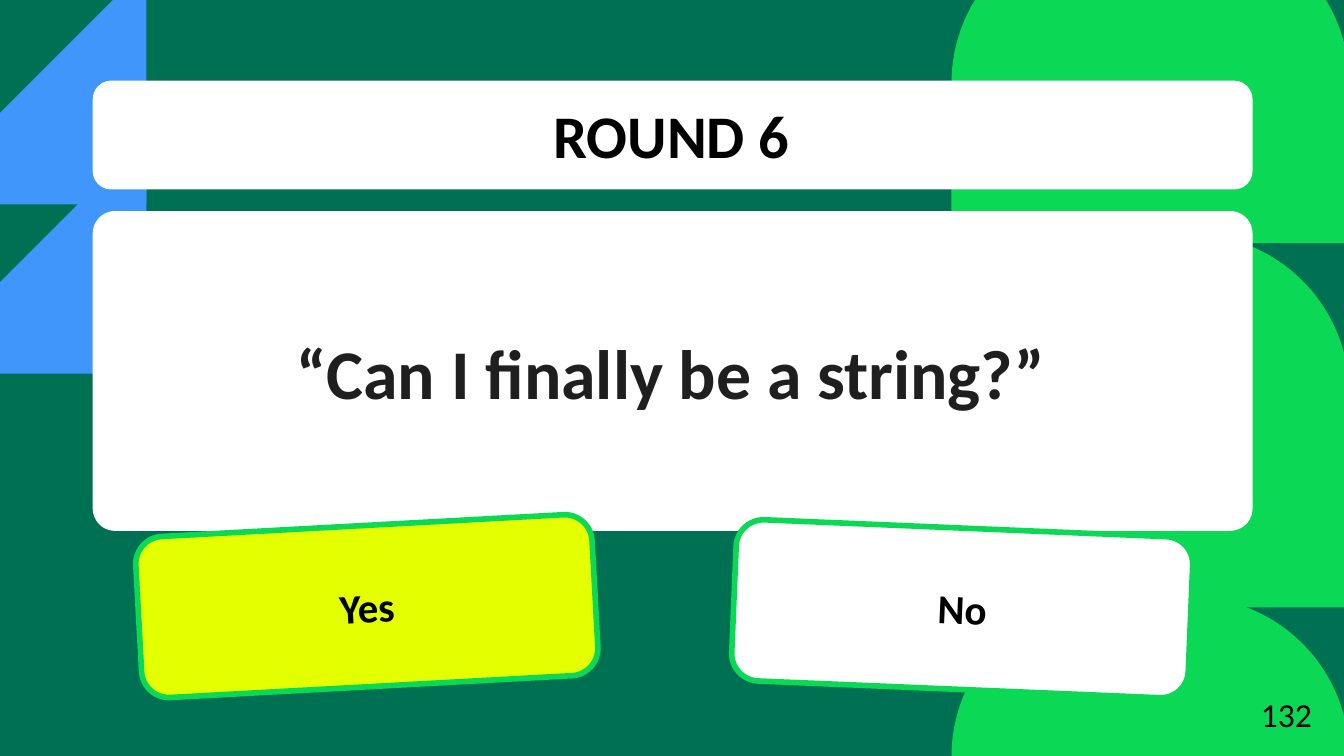
import dataclasses

import pptx
import pptx.dml.color
import pptx.enum.shapes
import pptx.enum.text
import pptx.util

Inches = pptx.util.Inches
SHAPE = pptx.enum.shapes.MSO_SHAPE
ALIGN = pptx.enum.text.PP_ALIGN
ANCHOR = pptx.enum.text.MSO_ANCHOR


@dataclasses.dataclass(frozen=True)
class Theme:
    font: str = "Calibri"
    background: str = "007052"
    green: str = "0BD956"
    blue: str = "4096FA"
    yellow: str = "E3FF00"
    white: str = "FFFFFF"
    black: str = "000000"
    ink: str = "1F1F1F"
    title_size: float = 32.4
    question_size: float = 37.4
    answer_size: float = 22
    number_size: float = 18


theme = Theme()
color = pptx.dml.color.RGBColor.from_string

# Widescreen page, 16:9
deck = pptx.Presentation()
deck.slide_width = Inches(10)
deck.slide_height = Inches(10 * 9 / 16)
page = deck.slides.add_slide(deck.slide_layouts[6])
page.background.fill.solid()
page.background.fill.fore_color.rgb = color(theme.background)


def add_block(kind, left, top, width, height, fill, corners=(), rotation=0):
    block = page.shapes.add_shape(
        kind, Inches(left), Inches(top), Inches(width), Inches(height))
    block.shadow.inherit = False
    block.fill.solid()
    block.fill.fore_color.rgb = color(fill)
    block.line.fill.background()
    for index, corner in enumerate(corners):
        block.adjustments[index] = corner
    block.rotation = rotation
    return block


def add_label(text, left, top, width, height, size, ink=theme.black, bold=True,
              align=ALIGN.CENTER, anchor=ANCHOR.MIDDLE, rotation=0):
    box = page.shapes.add_textbox(
        Inches(left), Inches(top), Inches(width), Inches(height))
    box.rotation = rotation
    frame = box.text_frame
    frame.word_wrap = True
    frame.vertical_anchor = anchor
    frame.margin_left = frame.margin_right = Inches(0.1)
    frame.margin_top = frame.margin_bottom = Inches(0.1)
    para = frame.paragraphs[0]
    para.alignment = align
    span = para.add_run()
    span.text = text
    span.font.name = theme.font
    span.font.size = pptx.util.Pt(size)
    span.font.bold = bold
    span.font.color.rgb = color(ink)
    return box


# Green arches on the right, blue triangles on the left
for top in (2.14, 1.74, 4.44, -0.57):
    add_block(SHAPE.ROUND_2_SAME_RECTANGLE, 7.08, top, 2.96, 2.38,
              theme.green, (0.5, 0))
for top in (1.01, -0.25):
    add_block(SHAPE.RIGHT_TRIANGLE, -0.68, top, 1.77, 1.77, theme.blue,
              rotation=270)

# White panels for title and question
for top, height, corner in ((0.6, 0.81, 0.17), (1.57, 2.38, 0.07)):
    add_block(SHAPE.ROUNDED_RECTANGLE, 0.69, top, 8.63, height, theme.white,
              (corner,))

# Slide number, title and question
add_label("132", 9.09, 5.1, 0.77, 0.43, theme.number_size, bold=False,
          align=ALIGN.RIGHT)
add_label("ROUND 6", 0.82, 0.69, 8.35, 0.62, theme.title_size)
question = add_label("“Can I finally be a string?”", 1.18, 2.39, 7.63, 0.81,
                     theme.question_size, theme.ink)
question.text_frame.paragraphs[0].line_spacing = 0.95
question.text_frame.paragraphs[0].space_after = pptx.util.Pt(12)

# Tilted answer cards
answers = (
    ("Yes", 1.03, 3.91, 4.23, 356.9, theme.yellow),
    ("No", 5.46, 3.93, 4.24, 2.4, theme.white),
)
for answer, left, card_top, label_top, tilt, fill in answers:
    card = add_block(SHAPE.ROUNDED_RECTANGLE, left, card_top, 3.4, 1.2, fill,
                     (0.17,), tilt)
    card.line.color.rgb = color(theme.green)
    card.line.width = pptx.util.Pt(3)
    label = add_label(answer, left, label_top, 3.4, 0.57, theme.answer_size,
                      anchor=ANCHOR.TOP, rotation=tilt)
    label.text_frame.auto_size = pptx.enum.text.MSO_AUTO_SIZE.SHAPE_TO_FIT_TEXT

deck.save("out.pptx")
